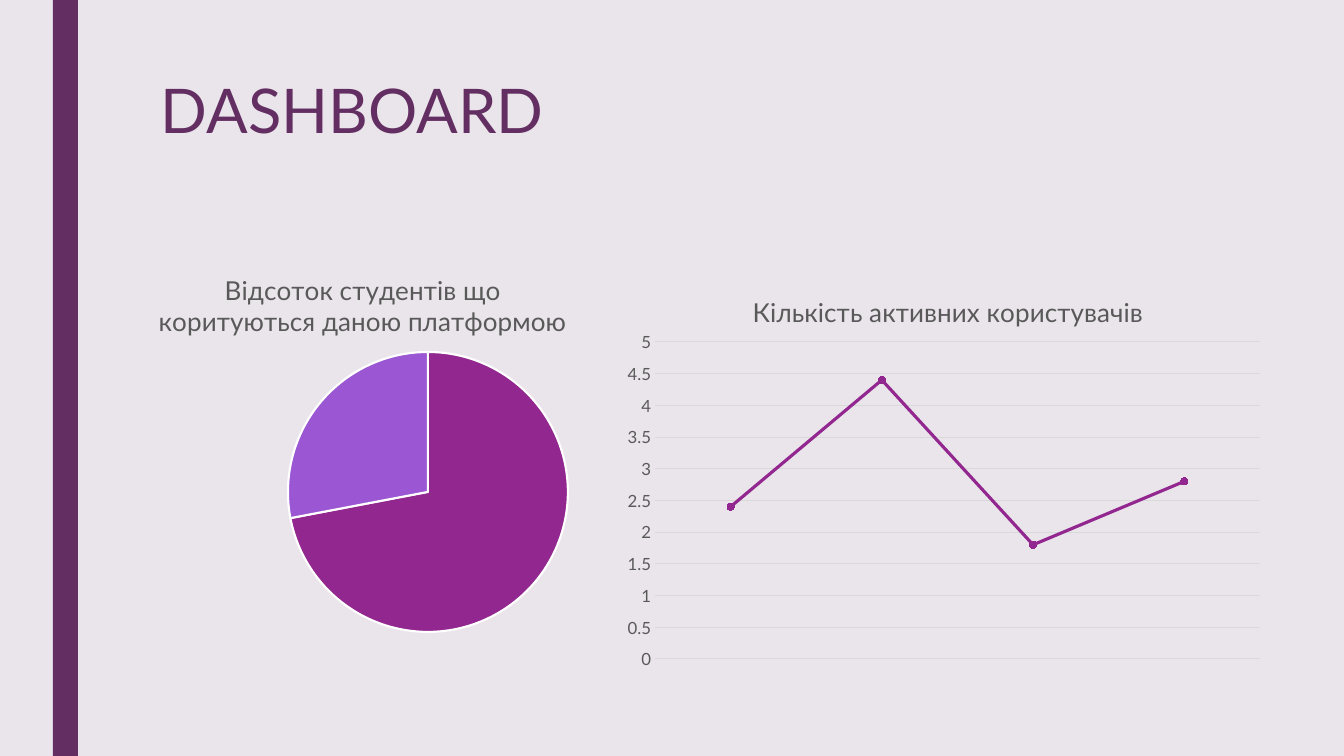
"""Builds a dashboard slide with a pie chart and a line chart."""
from lxml import etree
from pptx import Presentation
from pptx.chart.data import CategoryChartData
from pptx.dml.color import RGBColor
from pptx.enum.chart import XL_CHART_TYPE as ChartType, XL_MARKER_STYLE as Marker, XL_TICK_MARK as Tick
from pptx.enum.shapes import MSO_SHAPE as Shape
from pptx.oxml.ns import qn
from pptx.util import Pt

PX = 914400 / 100.8
COLORS = {
    "background": "EAE5EB", "plum": "632E62", "magenta": "92278F",
    "violet": "9B57D3", "label": "595959", "grid": "D9D9D9", "white": "FFFFFF",
}
color = {name: RGBColor.from_string(value) for name, value in COLORS.items()}


def px(*lengths):
    return [round(length * PX) for length in lengths]


def place(parent, index, chart_size, **lengths):
    for old in parent.findall(qn("c:layout")):
        parent.remove(old)
    layout = etree.Element(qn("c:layout"))
    manual = etree.SubElement(layout, qn("c:manualLayout"))
    if "w" in lengths:
        etree.SubElement(manual, qn("c:layoutTarget")).set("val", "inner")
    for side in "xy":
        etree.SubElement(manual, qn(f"c:{side}Mode")).set("val", "edge")
    for key, length in lengths.items():
        share = length / chart_size[key in "yh"]
        etree.SubElement(manual, qn(f"c:{key}")).set("val", f"{share:.4f}")
    parent.insert(index, layout)


deck = Presentation()
deck.slide_width, deck.slide_height = px(1344, 756)
slide = deck.slides.add_slide(deck.slide_layouts[6])
slide.background.fill.solid()
slide.background.fill.fore_color.rgb = color["background"]

stripe = slide.shapes.add_shape(Shape.RECTANGLE, *px(53, 0, 25, 756))
stripe.shadow.inherit = False
stripe.fill.solid()
stripe.fill.fore_color.rgb = color["plum"]
stripe.line.fill.background()

heading = slide.shapes.add_textbox(*px(151, 76, 1058, 163))
heading.text_frame.word_wrap = True
para = heading.text_frame.paragraphs[0]
para.text = "DASHBOARD"
para.line_spacing = 0.89
span = para.runs[0]
span.font.size, span.font.name = Pt(44), "Lato"
span.font.color.rgb = color["plum"]

panels = [
    (ChartType.PIE, (151, 252, 555, 395),
     "Відсоток студентів що коритуються даною платформою", (72, 28),
     {"x": 3, "y": 14}, {"x": 137, "y": 100, "w": 280, "h": 280}),
    (ChartType.LINE_MARKERS_STACKED, (614, 268, 659, 408),
     "Кількість активних користувачів", (2.4, 4.4, 1.8, 2.8),
     {"x": 134, "y": 20}, {"x": 41, "y": 74, "w": 605, "h": 317}),
]
charts = []
for kind, area, title, values, title_place, plot_place in panels:
    data = CategoryChartData()
    data.categories = [str(number) for number in range(1, len(values) + 1)]
    data.add_series("Series 1", values)
    chart = slide.shapes.add_chart(kind, *px(*area), data).chart
    chart.has_legend = False
    chart.font.name, chart.font.size = "Lato", Pt(10)
    chart.has_title = True
    para = chart.chart_title.text_frame.paragraphs[0]
    para.text = title
    font = para.runs[0].font
    font.size, font.bold, font.name = Pt(18.6), False, "Lato"
    font.color.rgb = color["label"]
    place(chart.chart_title._element, 1, area[2:], **title_place)
    place(chart._chartSpace.chart.plotArea, 0, area[2:], **plot_place)
    charts.append(chart)

pie, line = charts
for index, name in enumerate(("magenta", "violet")):
    piece = pie.plots[0].series[0].points[index].format
    piece.fill.solid()
    piece.fill.fore_color.rgb = color[name]
    piece.line.color.rgb = color["white"]
    piece.line.width = Pt(1.5)

line.plots[0].vary_by_categories = False
users = line.plots[0].series[0]
users.smooth = False
users.format.line.color.rgb = color["magenta"]
users.format.line.width = Pt(2.25)
users.marker.style, users.marker.size = Marker.CIRCLE, 5
users.marker.format.fill.solid()
users.marker.format.fill.fore_color.rgb = color["magenta"]
users.marker.format.line.color.rgb = color["magenta"]

line.category_axis.visible = False
axis = line.value_axis
axis.minimum_scale, axis.maximum_scale, axis.major_unit = 0, 5, 0.5
axis.major_tick_mark = axis.minor_tick_mark = Tick.NONE
axis.format.line.fill.background()
axis.major_gridlines.format.line.color.rgb = color["grid"]
axis.major_gridlines.format.line.width = Pt(0.75)
axis.tick_labels.font.size, axis.tick_labels.font.name = Pt(12), "Lato"
axis.tick_labels.font.color.rgb = color["label"]

deck.save("out.pptx")
